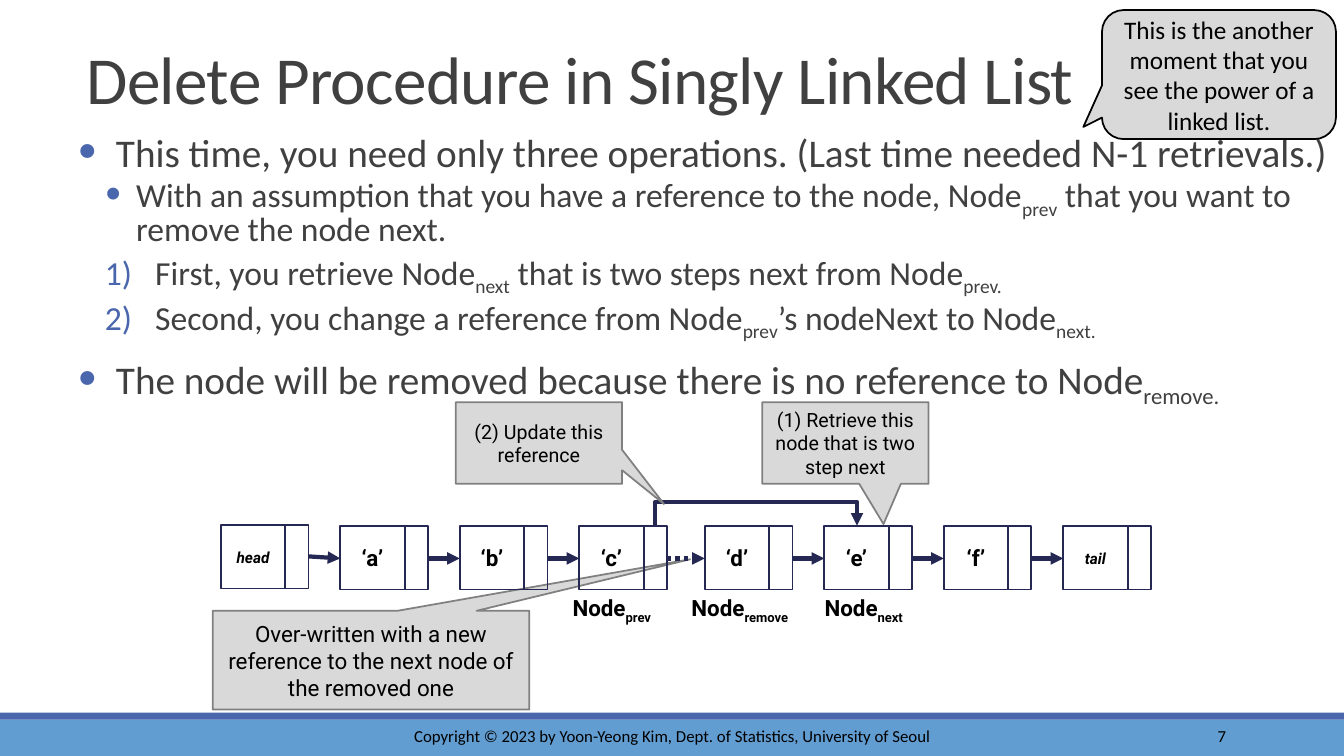
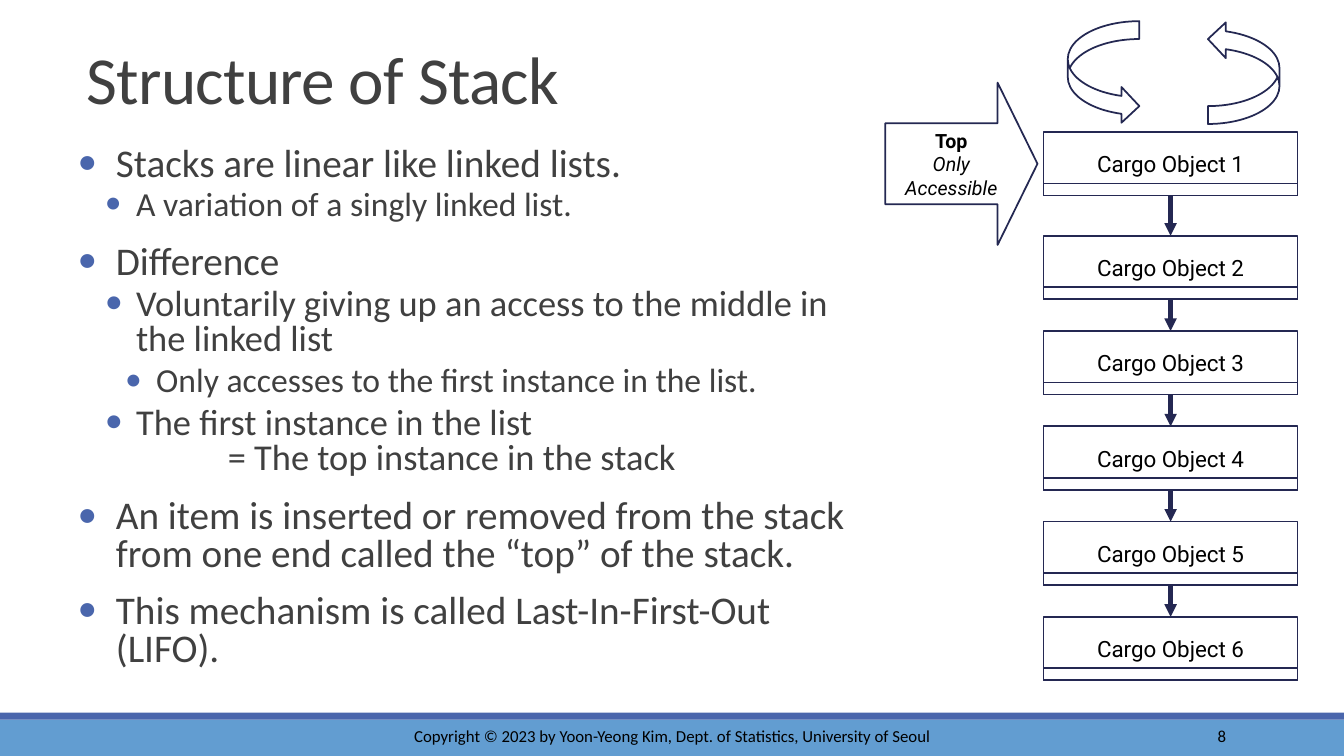
from lxml.etree import SubElement
from pptx import Presentation
from pptx.dml.color import RGBColor
from pptx.enum.dml import MSO_LINE
from pptx.enum.shapes import MSO_CONNECTOR as LINK, MSO_SHAPE as SHAPE
from pptx.enum.text import MSO_ANCHOR as ANCHOR, PP_ALIGN as ALIGN
from pptx.oxml.ns import qn
from pptx.util import Inches, Pt

BLACK = RGBColor(0x00, 0x00, 0x00)
INK = RGBColor(0x40, 0x40, 0x40)
NAVY = RGBColor(0x24, 0x28, 0x52)
BLUE = RGBColor(0x4A, 0x66, 0xAC)
SKY = RGBColor(0x62, 0x9D, 0xD1)
SILVER = RGBColor(0xD9, 0xD9, 0xD9)
GRAY = RGBColor(0x80, 0x80, 0x80)

FOOTER = "Copyright © 2023 by Yoon-Yeong Kim, Dept. of Statistics, University of Seoul"

# Body outline: level, left margin, first-line indent, marker, spacing in points
TOP = dict(level=0, margin=0.39, indent=-0.38, mark="•", before=12, after=2)
SUB = dict(level=1, margin=0.59, indent=-0.31, mark="•", before=2, after=4)
STEP = dict(SUB, margin=0.78, indent=-0.5, mark="1)")
DEEP = dict(SUB, level=2, margin=0.79)
LEAD = dict(SUB, after=0)
TAIL = dict(SUB, margin=1.5, indent=0, mark=None, before=0)


class Style:
    """Shared look of the deck, drawing on the current page."""

    def __init__(self, deck):
        self.deck = deck
        self.page = None

    def new_page(self, title, number):
        self.page = self.deck.slides.add_slide(self.deck.slide_layouts[6])
        self.shape(SHAPE.RECTANGLE, 0, 7.14, 13.33, 0.36, fill=SKY)
        self.shape(SHAPE.RECTANGLE, 0, 7.07, 13.33, 0.07, fill=BLUE)
        frame = self.text_box(0.76, 0.21, 11.82, 1.01, ANCHOR.BOTTOM)
        frame.paragraphs[0].line_spacing = 0.85
        self.add_spans(frame.paragraphs[0], title, 48, "Calibri", INK, spacing=-50)
        for left, width, text, align in ((3.64, 6.06, FOOTER, ALIGN.CENTER),
                                         (10.83, 1.43, str(number), ALIGN.RIGHT)):
            frame = self.text_box(left, 7.1, width, 0.4, ANCHOR.MIDDLE)
            frame.paragraphs[0].alignment = align
            self.add_spans(frame.paragraphs[0], text, 12, "Calibri")

    def text_box(self, left, top, width, height, anchor=ANCHOR.TOP):
        box = self.page.shapes.add_textbox(
            Inches(left), Inches(top), Inches(width), Inches(height))
        box.text_frame.word_wrap = True
        box.text_frame.vertical_anchor = anchor
        return box.text_frame

    def add_spans(self, para, text, size, font="Roboto", color=BLACK, spacing=None, **look):
        """Add spans; every second part between bars is a subscript."""
        look = dict(size=Pt(size), name=font, **look)
        for index, part in enumerate(text.split("|")):
            if not part:
                continue
            span = para.add_run()
            span.text = part
            for name, value in look.items():
                setattr(span.font, name, value)
            span.font.color.rgb = color
            props = span.font._element
            if index % 2:
                props.set("baseline", "-25000")
            if spacing:
                props.set("spc", str(spacing))

    def outline(self, left, top, width, height, items):
        frame = self.text_box(left, top, width, height)
        frame.margin_left = frame.margin_right = 0
        for index, (kind, size, text, lines) in enumerate(items):
            para = frame.add_paragraph() if index else frame.paragraphs[0]
            settings = dict(level=kind["level"], line_spacing=lines,
                            space_before=Pt(kind["before"]), space_after=Pt(kind["after"]))
            for name, value in settings.items():
                setattr(para, name, value)
            self.bullet(para, kind)
            self.add_spans(para, text, size, "Calibri", INK)

    def bullet(self, para, kind):
        props = para._p.get_or_add_pPr()
        props.set("marL", str(Inches(kind["margin"])))
        props.set("indent", str(Inches(kind["indent"])))
        if kind["mark"] is None:
            SubElement(props, qn("a:buNone"))
            return
        color = SubElement(props, qn("a:buClr"))
        SubElement(color, qn("a:srgbClr"), val=str(BLUE))
        SubElement(props, qn("a:buFont"), typeface="Calibri")
        if kind["mark"] == "1)":
            SubElement(props, qn("a:buAutoNum"), type="arabicParenR")
        else:
            SubElement(props, qn("a:buChar"), char=kind["mark"])

    def shape(self, kind, left, top, width, height, fill=None, line=None, adjust=()):
        shape = self.page.shapes.add_shape(
            kind, Inches(left), Inches(top), Inches(width), Inches(height))
        shape.shadow.inherit = False
        for index, value in enumerate(adjust):
            shape.adjustments[index] = value
        if fill is None:
            shape.fill.background()
        else:
            shape.fill.solid()
            shape.fill.fore_color.rgb = fill
        if line is None:
            shape.line.fill.background()
        else:
            shape.line.color.rgb = line
            shape.line.width = Pt(1.25)
        shape.text_frame.vertical_anchor = ANCHOR.MIDDLE
        shape.text_frame.paragraphs[0].alignment = ALIGN.CENTER
        return shape

    def label(self, shape, text, size, font="Roboto", **look):
        self.add_spans(shape.text_frame.paragraphs[0], text, size, font, **look)

    def callout(self, left, top, width, height, text, size, adjust,
                kind=SHAPE.RECTANGULAR_CALLOUT, line=GRAY, font="Roboto"):
        shape = self.shape(kind, left, top, width, height, SILVER, line, adjust)
        self.label(shape, text, size, font)

    def cell(self, left, top, width, height):
        return self.shape(SHAPE.RECTANGLE, left, top, width, height, line=NAVY)

    def arrow(self, x1, y1, x2, y2, kind=LINK.STRAIGHT, dash=None):
        link = self.page.shapes.add_connector(
            kind, Inches(x1), Inches(y1), Inches(x2), Inches(y2))
        link.line.color.rgb = NAVY
        link.line.width = Pt(3)
        if dash:
            link.line.dash_style = dash
        SubElement(link.line._get_or_add_ln(), qn("a:tailEnd"), type="triangle")
        SubElement(link._element.spPr, qn("a:effectLst"))
        return link

    def bridge(self, x1, x2, y, rise):
        """Elbow arrow that rises from x1, runs across and drops at x2."""
        middle, half, thin = (x1 + x2) / 2, (x2 - x1) / 2, 0.01
        link = self.arrow(middle + thin / 2, y + half, middle - thin / 2, y - half, LINK.ELBOW)
        props = link._element.spPr
        props.find(qn("a:xfrm")).set("rot", "5400000")
        guides = props.find(qn("a:prstGeom")).find(qn("a:avLst"))
        SubElement(guides, qn("a:gd"), name="adj1", fmla=f"val {round(rise / thin * 100000)}")


deck = Presentation()
deck.slide_width, deck.slide_height = Inches(13.33), Inches(7.5)
style = Style(deck)

# Delete procedure: outline
style.new_page("Delete Procedure in Singly Linked List", 7)
style.outline(0.76, 1.41, 12.48, 5.43, [
    (TOP, 28, "This time, you need only three operations. "
              "(Last time needed N-1 retrievals.)", 0.55),
    (SUB, 24, "With an assumption that you have a reference to the node, "
              "Node|prev| that you want to remove the node next.", 0.8),
    (STEP, 24, "First, you retrieve Node|next| that is two steps next from Node|prev.", 0.8),
    (STEP, 24, "Second, you change a reference from Node|prev|’s nodeNext to Node|next.", 0.8),
    (TOP, 28, "The node will be removed because there is no reference to Node|remove.", 0.8),
])
style.callout(10.93, 0.1, 2.32, 1.28,
              "This is the another moment that you see the power of a linked list.",
              18, (-0.58, 0.406, 0.167), SHAPE.ROUNDED_RECTANGULAR_CALLOUT, BLACK, "Calibri")
style.callout(2.11, 6.06, 3.14, 0.98,
              "Over-written with a new reference to the next node of the removed one",
              16, (1.008, -1.022))

# Delete procedure: chain of nodes, with a wider gap after ‘c’
NODE_WIDTH, DATA_WIDTH, NODE_HEIGHT = 0.87, 0.64, 0.63
names = ["head", "‘a’", "‘b’", "‘c’", "‘d’", "‘e’", "‘f’", "tail"]
lefts = [2.19 + 1.185 * i + (0.06 if i > 3 else 0) for i in range(len(names))]
for name, left in zip(names, lefts):
    top = 5.21 if name == "head" else 5.22
    is_end = name in ("head", "tail")
    style.cell(left + DATA_WIDTH, top, NODE_WIDTH - DATA_WIDTH, NODE_HEIGHT)
    data = style.cell(left, top, DATA_WIDTH, NODE_HEIGHT)
    style.label(data, name, 11 if is_end else 16, bold=True, italic=is_end)
for name, left, following in zip(names, lefts, lefts[1:]):
    style.arrow(left + NODE_WIDTH, 5.52 if name == "head" else 5.54, following, 5.54,
                dash=MSO_LINE.ROUND_DOT if name == "‘c’" else None)

# Delete procedure: node names, new reference and its callouts
for left, width, text in ((6.76, 1.42, "Node|remove"), (5.58, 1.18, "Node|prev"),
                          (8.08, 1.18, "Node|next")):
    frame = style.text_box(left, 5.85, width, 0.37)
    style.add_spans(frame.paragraphs[0], text, 16, bold=True)
style.bridge(6.5, 8.5, 5.22, 0.25)
for left, text, adjust in (
        (4.52, "(2) Update this reference", (0.752, 0.748)),
        (7.56, "(1) Retrieve this node that is two step next", (0.229, 0.993))):
    style.callout(left, 3.99, 1.65, 0.81, text, 14, adjust)

# Stack: outline
style.new_page("Structure of Stack", 8)
style.outline(0.76, 1.41, 7.93, 5.68, [
    (kind, size, text, 0.8) for kind, size, text in (
        (TOP, 28, "Stacks are linear like linked lists."),
        (SUB, 24, "A variation of a singly linked list."),
        (TOP, 28, "Difference"),
        (SUB, 26, "Voluntarily giving up an access to the middle in the linked list"),
        (DEEP, 24, "Only accesses to the first instance in the list."),
        (LEAD, 26, "The first instance in the list"),
        (TAIL, 26, "= The top instance in the stack"),
        (TOP, 28, "An item is inserted or removed from the stack from one end "
                  "called the “top” of the stack."),
        (TOP, 28, "This mechanism is called Last-In-First-Out (LIFO)."),
    )
])

# Stack: cargo column
CARGO_LEFT, CARGO_WIDTH, CARGO_HEIGHT, STRIP = 10.35, 2.52, 0.63, 0.12
tops = [1.31] + [2.34 + 0.945 * i for i in range(5)]
for number, top in enumerate(tops, 1):
    cargo = style.cell(CARGO_LEFT, top, CARGO_WIDTH, CARGO_HEIGHT)
    style.label(cargo, f"Cargo Object {number}", 16)
    style.cell(CARGO_LEFT, top + CARGO_HEIGHT - STRIP, CARGO_WIDTH, STRIP)
center = CARGO_LEFT + CARGO_WIDTH / 2
for top, following in zip(tops, tops[1:]):
    style.arrow(center, top + CARGO_HEIGHT, center, following)

# Stack: push and pop arrows, top marker
for left, turn in ((10.59, 0), (11.98, 180)):
    curve = style.shape(SHAPE.CURVED_RIGHT_ARROW, left, 0.21, 0.71, 1.02, line=NAVY)
    curve.rotation = turn
marker = style.shape(SHAPE.RIGHT_ARROW, 8.78, 0.82, 1.51, 1.61, line=NAVY, adjust=(0.5, 0.262))
style.label(marker, "Top", 14, bold=True)
marker.text_frame.paragraphs[0].add_line_break()
style.label(marker, "Only Accessible", 14, italic=True)

deck.save("out.pptx")
